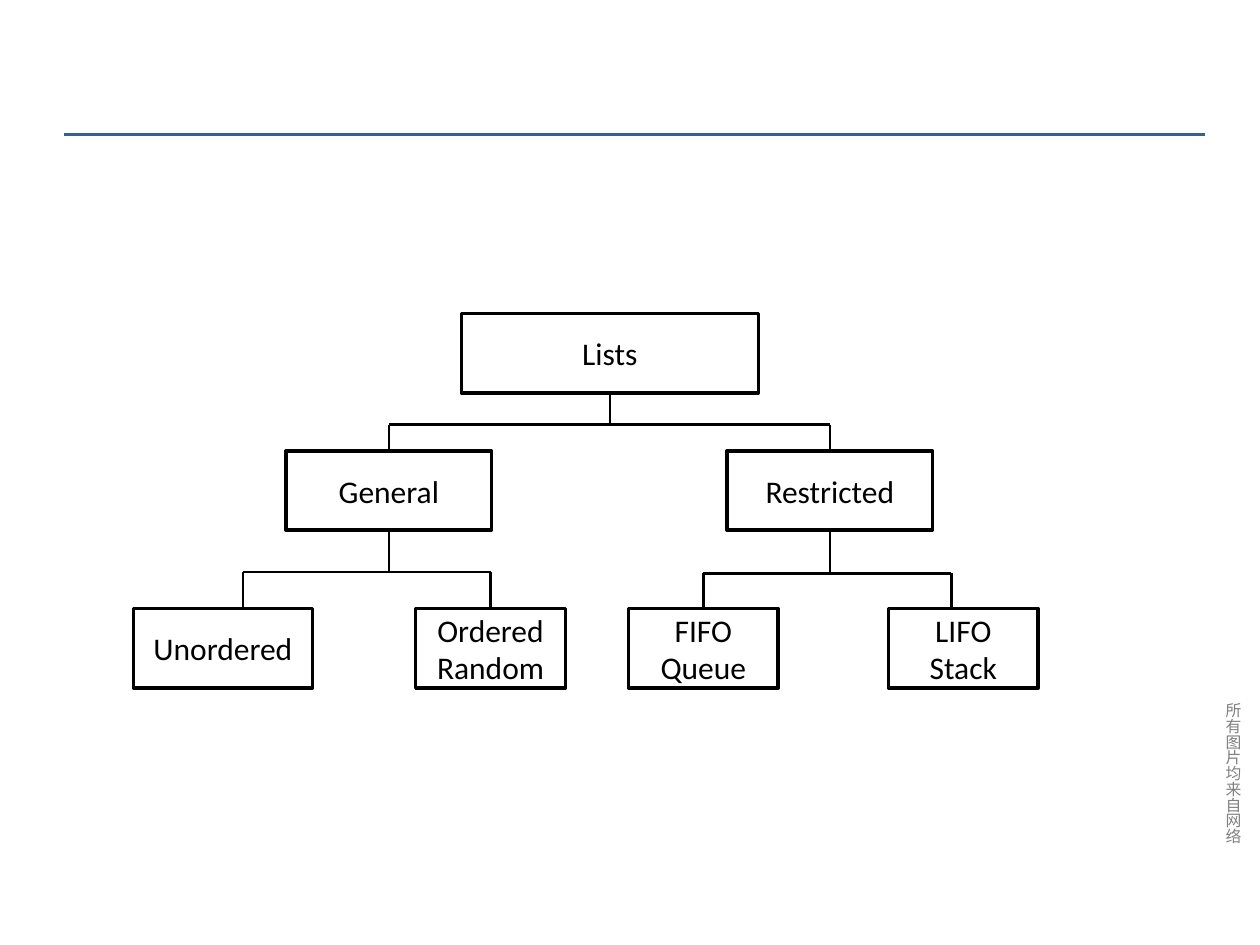
import pptx
import pptx.dml.color
import pptx.enum.shapes
import pptx.enum.text
import pptx.oxml
import pptx.oxml.ns
import pptx.util
from pptx.util import Cm

TOP, BOTTOM = 0, 2  # connection sites of a rectangle
BOX_HEIGHT = 1.6


def colour(hex_text):
    return pptx.dml.color.RGBColor.from_string(hex_text)


def format_text(frame, size, hex_text):
    for para in frame.paragraphs:
        for span in para.runs:
            span.font.name = "Calibri"
            span.font.size = pptx.util.Pt(size)
            span.font.color.rgb = colour(hex_text)


def add_line(page, x1, y1, x2, y2, hex_text="000000", weight=1.5):
    line = page.shapes.add_connector(
        pptx.enum.shapes.MSO_CONNECTOR.STRAIGHT, Cm(x1), Cm(y1), Cm(x2), Cm(y2))
    line.line.color.rgb = colour(hex_text)
    line.line.width = pptx.util.Pt(weight)
    line._element.spPr.append(pptx.oxml.parse_xml(
        f"<a:effectLst {pptx.oxml.ns.nsdecls('a')}/>"))
    return line


def add_node(page, text, left, top, width):
    box = page.shapes.add_shape(
        pptx.enum.shapes.MSO_SHAPE.RECTANGLE,
        Cm(left), Cm(top), Cm(width), Cm(BOX_HEIGHT))
    box.shadow.inherit = False
    box.fill.solid()
    box.fill.fore_color.rgb = colour("FFFFFF")
    box.line.color.rgb = colour("000000")
    box.line.width = pptx.util.Pt(2)
    frame = box.text_frame
    frame.text = text
    frame.vertical_anchor = pptx.enum.text.MSO_ANCHOR.MIDDLE
    for para in frame.paragraphs:
        para.alignment = pptx.enum.text.PP_ALIGN.CENTER
    format_text(frame, 18, "000000")
    return box


def middle(box):
    return (box.left + box.width / 2) / Cm(1)


def add_branch(page, parent, children, bar_y, drops):
    """Join a parent to its children; a drop of None is at the child's middle."""
    stem_x = middle(parent)
    stem = add_line(page, stem_x, parent.top / Cm(1) + BOX_HEIGHT, stem_x, bar_y)
    stem.begin_connect(parent, BOTTOM)
    ends = []
    for child, drop in zip(children, drops):
        x = middle(child) if drop is None else drop
        line = add_line(page, x, bar_y, x, child.top / Cm(1))
        if drop is None:
            line.end_connect(child, TOP)
        ends.append(x)
    add_line(page, ends[0], bar_y, ends[-1], bar_y)


def add_tree(page, left, top):
    # Boxes: text, offset from the left, offset from the top, width
    nodes = {
        name: add_node(page, text, left + x, top + y, width)
        for name, text, x, y, width in [
            ("lists", "Lists", 6.61, 0, 5.99),
            ("general", "General", 3.08, 2.77, 4.14),
            ("restricted", "Restricted", 11.97, 2.77, 4.14),
            ("unordered", "Unordered", 0, 5.95, 3.61),
            ("ordered", "Ordered\nRandom", 5.69, 5.95, 3.02),
            ("queue", "FIFO\nQueue", 9.98, 5.95, 3.02),
            ("stack", "LIFO\nStack", 15.22, 5.95, 3.02),
        ]
    }
    # Branches: parent, children, offset of the bar, offsets of the drops
    for parent, children, bar, drops in [
        ("lists", ("general", "restricted"), 2.24, (None, None)),
        ("general", ("unordered", "ordered"), 5.21, (2.21, None)),
        ("restricted", ("queue", "stack"), 5.24, (None, 16.49)),
    ]:
        add_branch(page, nodes[parent], [nodes[name] for name in children],
                   top + bar, [None if x is None else left + x for x in drops])


def add_side_note(page, left, top, width, height):
    box = page.shapes.add_textbox(Cm(left), Cm(top), Cm(width), Cm(height))
    frame = box.text_frame
    frame.word_wrap = True
    frame.text = "所有图片均来自网络"
    frame._txBody.bodyPr.set("vert", "eaVert")
    format_text(frame, 9, "808080")


def main():
    deck = pptx.Presentation()
    deck.slide_width, deck.slide_height = Cm(25.4), Cm(19.05)
    page = deck.slides.add_slide(deck.slide_layouts[6])

    # Frame of the page
    add_side_note(page, 24.28, 13.92, 0.89, 3.4)
    add_line(page, 1.3, 2.72, 24.3, 2.72, "376092", 1.75)

    # Tree of list types
    add_tree(page, 2.69, 6.32)

    deck.save("out.pptx")


if __name__ == "__main__":
    main()
